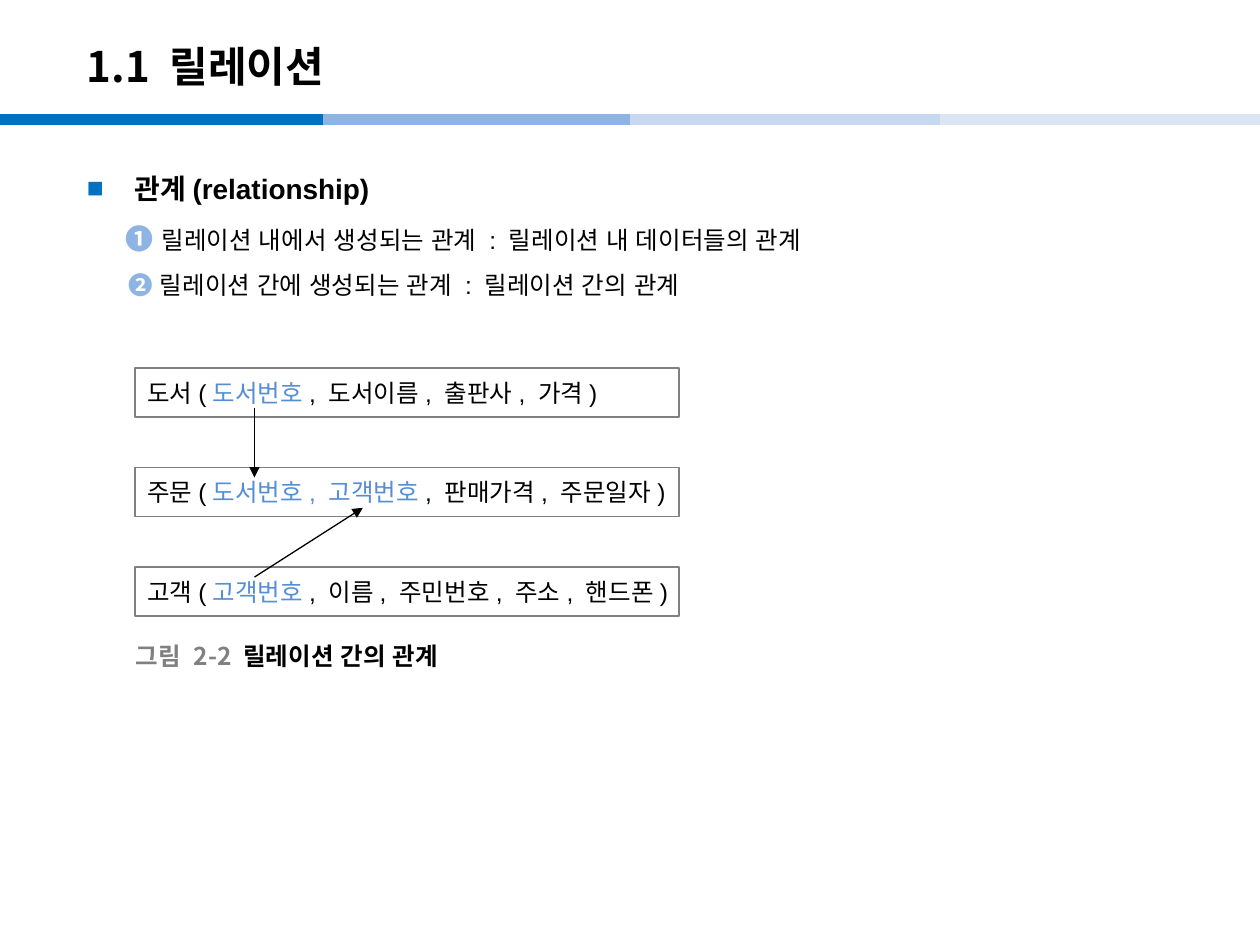
from lxml import etree
from pptx import Presentation
from pptx.dml.color import RGBColor
from pptx.enum.shapes import MSO_CONNECTOR as Connector, MSO_SHAPE as Shape
from pptx.enum.text import MSO_ANCHOR as Anchor, PP_ALIGN as Align
from pptx.oxml.ns import qn
from pptx.util import Inches, Pt

SANS, NOTO = "Arial", "Noto Sans CJK KR"
BLACK, GRAY, BLUE, KEY, SOFT = "000000", "808080", "0070C0", "558ED5", "8EB4E3"

deck = Presentation()
deck.slide_width, deck.slide_height = Inches(10), Inches(7.5)
page = deck.slides.add_slide(deck.slide_layouts[6])


def add_line(start, end, color, width, arrow=False):
    """Draw a straight line between two points in inches."""
    line = page.shapes.add_connector(
        Connector.STRAIGHT, *(Inches(value) for value in (*start, *end)))
    line.line.color.rgb = RGBColor.from_string(color)
    line.line.width = Pt(width)
    if arrow:
        etree.SubElement(line.line._get_or_add_ln(), qn("a:tailEnd"), type="triangle")
    etree.SubElement(line._element.spPr, qn("a:effectLst"))


def write(para, *pieces, size=14, font=SANS, bold=False):
    """Fill a left-aligned paragraph with (text, color) pieces."""
    para.alignment = Align.LEFT
    for text, color in pieces:
        span = para.add_run()
        span.text = text
        span.font.size, span.font.name, span.font.bold = Pt(size), font, bold
        span.font.color.rgb = RGBColor.from_string(color)
        props = span.font._element
        props.set("lang", "ko-KR")
        east = etree.Element(qn("a:ea"), typeface=font)
        props.find(qn("a:latin")).addnext(east)


# Four-tone rule under the title
for left, color in ((0, BLUE), (2.56, SOFT), (5, "C6D9F1"), (7.46, "DCE6F2")):
    add_line((left, 0.95), (left + 2.56, 0.95), color, 6)

# Title and figure caption
headings = (
    ((0.59, 0.22, 8.27, 0.6), 24, [("1.1 릴레이션", BLACK)]),
    ((0.98, 5.05, 2.8, 0.31), 14, [("그림 2-2 ", GRAY), ("릴레이션 간의 관계", BLACK)]),
)
for place, size, pieces in headings:
    box = page.shapes.add_textbox(*(Inches(value) for value in place))
    box.text_frame.word_wrap = True
    box.text_frame.vertical_anchor = Anchor.MIDDLE
    write(box.text_frame.paragraphs[0], *pieces, size=size, font=NOTO, bold=True)

# Body: a bulleted heading and two numbered lines
body = page.shapes.add_textbox(Inches(0.59), Inches(1.18), Inches(8.82), Inches(5.98))
frame = body.text_frame
frame.word_wrap = True
heading = frame.paragraphs[0]
write(heading, ("관계(relationship)", BLACK), size=16, bold=True)
props = heading._p.get_or_add_pPr()
props.set("marL", str(Inches(0.38)))
props.set("indent", str(-Inches(0.38)))
bullet_color = etree.SubElement(props, qn("a:buClr"))
etree.SubElement(bullet_color, qn("a:srgbClr"), val=BLUE)
etree.SubElement(props, qn("a:buFont"), typeface=SANS)
etree.SubElement(props, qn("a:buChar"), char="■")

numbered = (
    ("❶ ", 16, 0.31, "릴레이션 내에서 생성되는 관계 : 릴레이션 내 데이터들의 관계"),
    ("❷ ", 14, 0.33, "릴레이션 간에 생성되는 관계 : 릴레이션 간의 관계"),
)
for number, size, margin, text in numbered:
    para = frame.add_paragraph()
    write(para, (number, SOFT), size=size, bold=True)
    write(para, (text, BLACK))
    para._p.get_or_add_pPr().set("marL", str(Inches(margin)))
for para in frame.paragraphs:
    para.line_spacing = 1.5

# Relation schemas, evenly stacked
relations = (
    ("도서(", "도서번호", ", 도서이름, 출판사, 가격)"),
    ("주문(", "도서번호, 고객번호", ", 판매가격, 주문일자)"),
    ("고객(", "고객번호", ", 이름, 주민번호, 주소, 핸드폰)"),
)
for row, (name, keys, rest) in enumerate(relations):
    box = page.shapes.add_shape(
        Shape.RECTANGLE, Inches(1.07), Inches(2.92 + 0.79 * row), Inches(4.32), Inches(0.39))
    box.shadow.inherit = False
    box.fill.background()
    box.line.color.rgb = RGBColor.from_string(GRAY)
    box.line.width = Pt(1)
    box.text_frame.word_wrap = True
    box.text_frame.margin_right = 0
    box.text_frame.vertical_anchor = Anchor.MIDDLE
    write(box.text_frame.paragraphs[0], (name, BLACK), (keys, KEY), (rest, BLACK))

# Key references
add_line((2.02, 3.24), (2.02, 3.79), BLACK, 0.75, arrow=True)
add_line((2.02, 4.58), (2.88, 4.03), BLACK, 0.75, arrow=True)

deck.save("out.pptx")
